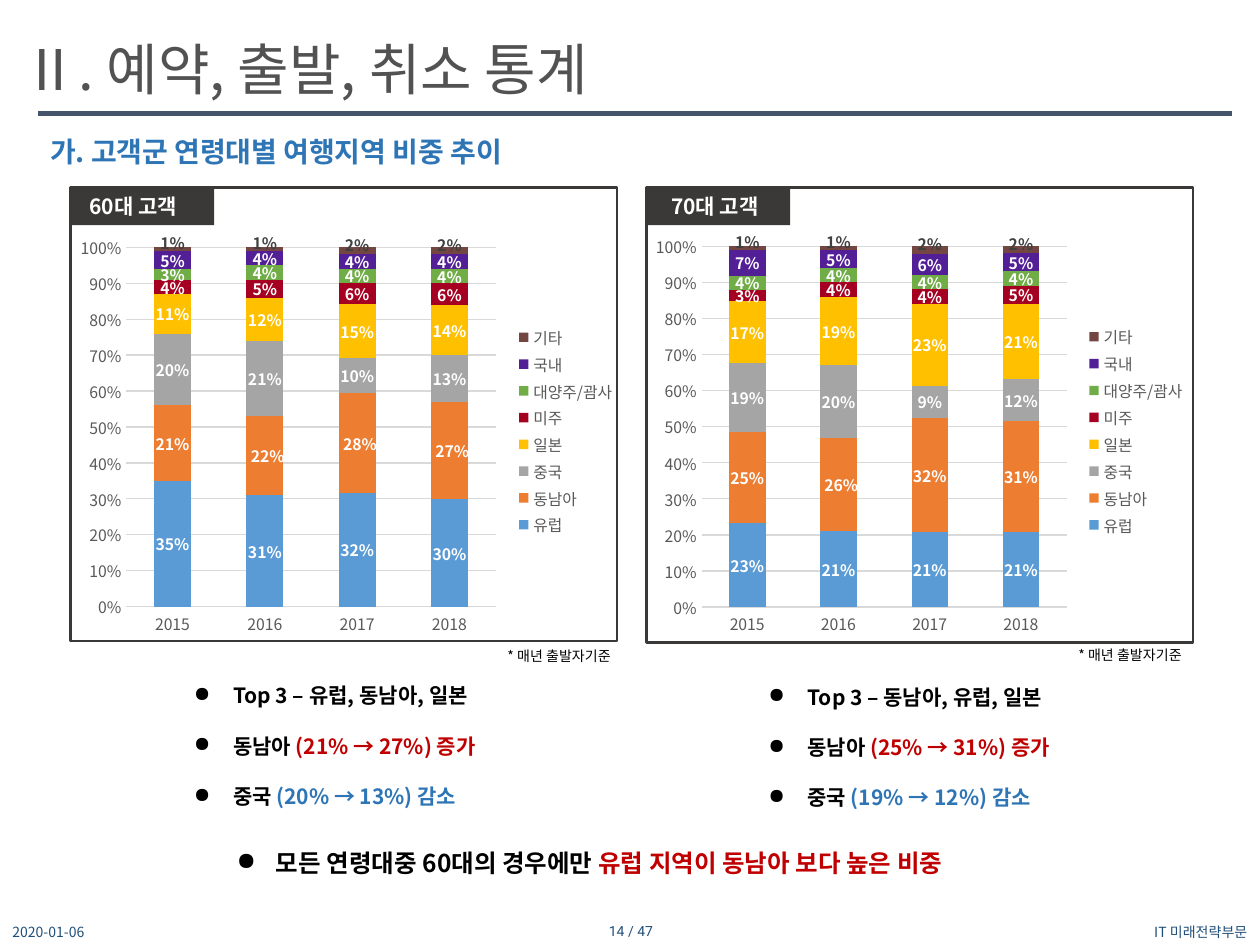
from lxml import etree
from pptx import Presentation
from pptx.chart.data import CategoryChartData
from pptx.dml.color import RGBColor
from pptx.enum.chart import XL_CHART_TYPE, XL_LABEL_POSITION, XL_LEGEND_POSITION, XL_TICK_MARK
from pptx.enum.shapes import MSO_CONNECTOR, MSO_SHAPE
from pptx.enum.text import MSO_ANCHOR, PP_ALIGN
from pptx.oxml import parse_xml
from pptx.oxml.ns import nsdecls, qn
from pptx.util import Cm, Pt

STACKED = XL_CHART_TYPE.COLUMN_STACKED_100
RECT, LINE = MSO_SHAPE.RECTANGLE, MSO_CONNECTOR.STRAIGHT
LEFT, MID, RIGHT = PP_ALIGN.LEFT, PP_ALIGN.CENTER, PP_ALIGN.RIGHT
TOP, MIDDLE = MSO_ANCHOR.TOP, MSO_ANCHOR.MIDDLE
CENTER, SIDE, NONE = XL_LABEL_POSITION.CENTER, XL_LEGEND_POSITION.RIGHT, XL_TICK_MARK.NONE

FONT = "Noto Sans CJK KR"
BLACK, WHITE, DARK = "000000", "FFFFFF", "3B3838"
NAVY, BLUE, RED, GRAY, PALE = "1F4E79", "2E75B6", "C00000", "595959", "D9D9D9"

YEARS = ["2015", "2016", "2017", "2018"]
AREAS = [("유럽", "5B9BD5"), ("동남아", "ED7D31"), ("중국", "A5A5A5"), ("일본", "FFC000"),
         ("미주", "A50021"), ("대양주/괌사", "70AD47"), ("국내", "521F97"), ("기타", "744642")]
GROUPS = [
    {"name": "60대 고객", "left": 1.42, "tall": 9.14, "label": 1.55,
     "chart": (1.42, 4.57, 11.28, 8.33), "note": (9.98, 12.93, 2.72, 0.61),
     "list": (3.66, 13.13, 6.55, 3.33), "right": [1, 2, 3],
     "top": "유럽, 동남아, 일본", "up": "21% → 27%", "down": "20% → 13%",
     "share": [(0.35, 0.31, 0.32, 0.30), (0.21, 0.22, 0.28, 0.27),
               (0.20, 0.21, 0.10, 0.13), (0.11, 0.12, 0.15, 0.14),
               (0.04, 0.05, 0.06, 0.06), (0.03, 0.04, 0.04, 0.04),
               (0.05, 0.04, 0.04, 0.04), (0.01, 0.01, 0.02, 0.02)]},
    {"name": "70대 고객", "left": 13.03, "tall": 9.17, "label": 13.28,
     "chart": (13.03, 4.55, 11.15, 8.36), "note": (21.49, 12.9, 2.72, 0.61),
     "list": (15.24, 13.16, 6.65, 3.33), "right": [1],
     "top": "동남아, 유럽, 일본", "up": "25% → 31%", "down": "19% → 12%",
     "share": [(0.23, 0.21, 0.21, 0.21), (0.25, 0.26, 0.32, 0.31),
               (0.19, 0.20, 0.09, 0.12), (0.17, 0.19, 0.23, 0.21),
               (0.03, 0.04, 0.04, 0.05), (0.04, 0.04, 0.04, 0.04),
               (0.07, 0.05, 0.06, 0.05), (0.01, 0.01, 0.02, 0.02)]},
]
PLOT = ('<c:layout {}><c:manualLayout>{}<c:xMode val="edge"/><c:yMode val="edge"/>'
        '<c:x val="{}"/><c:y val="{}"/><c:w val="{}"/><c:h val="{}"/>'
        '</c:manualLayout></c:layout>')
SHIFT = ('<c:layout {}><c:manualLayout><c:x val="{}"/><c:y val="{}"/>'
         '</c:manualLayout></c:layout>')

prs = Presentation()
prs.slide_width, prs.slide_height = Cm(25.4), Cm(19.05)
slide = prs.slides.add_slide(prs.slide_layouts[6])
shapes = slide.shapes


def rgb(code):
    return RGBColor.from_string(code)


def text(box, paras, size=12, color=BLACK, bold=False, font=FONT, align=LEFT,
         anchor=TOP, wrap=True, bullet=False):
    """Add a text box; each paragraph is a list of (words, color or None) runs."""
    frame = shapes.add_textbox(*map(Cm, box)).text_frame
    frame.word_wrap, frame.vertical_anchor = wrap, anchor
    for i, runs in enumerate(paras):
        para = frame.add_paragraph() if i else frame.paragraphs[0]
        para.alignment = align
        if bullet:
            para.line_spacing = 2.0
            props = para._p.get_or_add_pPr()
            props.set("marL", str(Cm(0.79)))
            props.set("indent", str(-Cm(0.79)))
            etree.SubElement(props, qn("a:buChar")).set("char", "●")
        for words, tint in runs:
            run = para.add_run()
            run.text = words
            run.font.size, run.font.bold, run.font.name = Pt(size), bold, font
            run.font.color.rgb = rgb(tint or color)


# Heading and footer
text((0.2, 0.58, 16.2, 1.63), [[("Ⅱ. 예약, 출발, 취소 통계", None)]], size=32, color="525252")
text((0.76, 2.59, 13.56, 0.94), [[("가. 고객군 연령대별 여행지역 비중 추이", None)]],
     size=16, color=BLUE, bold=True)
rule = shapes.add_connector(LINE, Cm(0.76), Cm(2.29), Cm(24.84), Cm(2.29))
rule.line.color.rgb, rule.line.width = rgb("44546A"), Pt(3)
etree.SubElement(rule._element.spPr, qn("a:effectLst"))
for box, words, align, font in [
        ((0, 18.54, 5.72, 0.51), "2020-01-06", LEFT, FONT),
        ((9.86, 18.52, 5.72, 0.51), "14 / 47", MID, "Roboto"),
        ((20.57, 18.52, 4.83, 0.53), "IT 미래전략부문", RIGHT, FONT)]:
    text(box, [[(words, None)]], size=8, color=NAVY, align=align, font=font, anchor=MIDDLE)

# One framed chart with its findings for each age group
for group in GROUPS:
    frame = shapes.add_shape(RECT, Cm(group["left"]), Cm(3.78), Cm(11.02), Cm(group["tall"]))
    frame.fill.background()
    frame.line.color.rgb, frame.line.width = rgb(DARK), Pt(1.5)
    tab = shapes.add_shape(RECT, Cm(group["left"]), Cm(3.78), Cm(2.9), Cm(0.76))
    tab.fill.solid()
    tab.fill.fore_color.rgb = rgb(DARK)
    tab.line.fill.background()
    frame.shadow.inherit = tab.shadow.inherit = False
    text((group["label"], 3.78, 2.64, 0.76), [[(group["name"], None)]], color=WHITE, bold=True)

    data = CategoryChartData(number_format="0%")
    data.categories = YEARS
    for (area, _), share in zip(AREAS, group["share"]):
        data.add_series(area, share)
    chart = shapes.add_chart(STACKED, *map(Cm, group["chart"]), data).chart
    chart.has_title = False
    chart.font.name, chart.font.size = FONT, Pt(10)
    chart.font.color.rgb = rgb(BLACK)
    chart.has_legend = True
    legend = chart.legend
    legend.position, legend.include_in_layout = SIDE, False
    cat, val = chart.category_axis, chart.value_axis
    for part in (cat.tick_labels, val.tick_labels, legend):
        part.font.name, part.font.size = FONT, Pt(9)
        part.font.color.rgb = rgb(GRAY)
    for axis in (cat, val):
        axis.major_tick_mark = axis.minor_tick_mark = NONE
    val.tick_labels.number_format, val.tick_labels.number_format_is_linked = "0%", False
    val.maximum_scale, val.minimum_scale, val.major_unit = 1, 0, 0.1
    val.format.line.fill.background()
    for line in (cat.format.line, val.major_gridlines.format.line):
        line.color.rgb, line.width = rgb(PALE), Pt(0.75)

    plot = chart.plots[0]
    plot.gap_width, plot.overlap, plot.vary_by_categories = 150, 100, False
    for series, (area, color) in zip(plot.series, AREAS):
        series.format.fill.solid()
        series.format.fill.fore_color.rgb = rgb(color)
        labels = series.data_labels
        labels.show_value, labels.position = True, CENTER
        labels.number_format, labels.number_format_is_linked = "0%", False
        moved, dx, dy = [], 0, 0
        if area == "동남아":
            moved, dx = group["right"], 0.005
        elif area == "기타":
            moved, dy = range(len(YEARS)), -0.016
        points = [series.points[i].data_label for i in moved]
        for item in [labels, *points]:
            item.position = CENTER
            item.font.name, item.font.size, item.font.bold = FONT, Pt(9), True
            item.font.color.rgb = rgb("404040" if area == "기타" else WHITE)
        for idx in series._element.iterfind(".//" + qn("c:dLbl") + "/" + qn("c:idx")):
            idx.addnext(parse_xml(SHIFT.format(nsdecls("c"), dx, dy)))

    space = chart._chartSpace
    region = space.find(".//" + qn("c:plotArea"))
    side = space.find(".//" + qn("c:legend"))
    for old in region.findall(qn("c:layout")) + side.findall(qn("c:layout")):
        old.getparent().remove(old)
    inner = '<c:layoutTarget val="inner"/>'
    region.insert(0, parse_xml(PLOT.format(nsdecls("c"), inner, 0.1, 0.05, 0.66, 0.87)))
    side.find(qn("c:legendPos")).addnext(
        parse_xml(PLOT.format(nsdecls("c"), "", 0.78, 0.23, 0.21, 0.53)))
    for latin in list(space.iter(qn("a:latin"))):
        latin.addnext(parse_xml(f'<a:ea {nsdecls("a")} typeface="{FONT}"/>'))

    text(group["note"], [[("* 매년 출발자기준", None)]], size=8, wrap=False)
    text(group["list"], [
        [("Top 3 – " + group["top"], None)],
        [("동남아 ", None), (f"({group['up']}) 증가", RED)],
        [("중국 ", None), (f"({group['down']}) 감소", BLUE)],
    ], bold=True, bullet=True)

text((4.52, 16.38, 16.36, 1.27),
     [[("모든 연령대중 60대의 경우에만 ", None), ("유럽 지역이 동남아 보다 높은 비중", RED)]],
     size=14, bold=True, bullet=True)

# Korean letters take the East Asian typeface
for latin in list(slide._element.iter(qn("a:latin"))):
    latin.addnext(parse_xml(f'<a:ea {nsdecls("a")} typeface="{FONT}"/>'))

prs.save("out.pptx")
